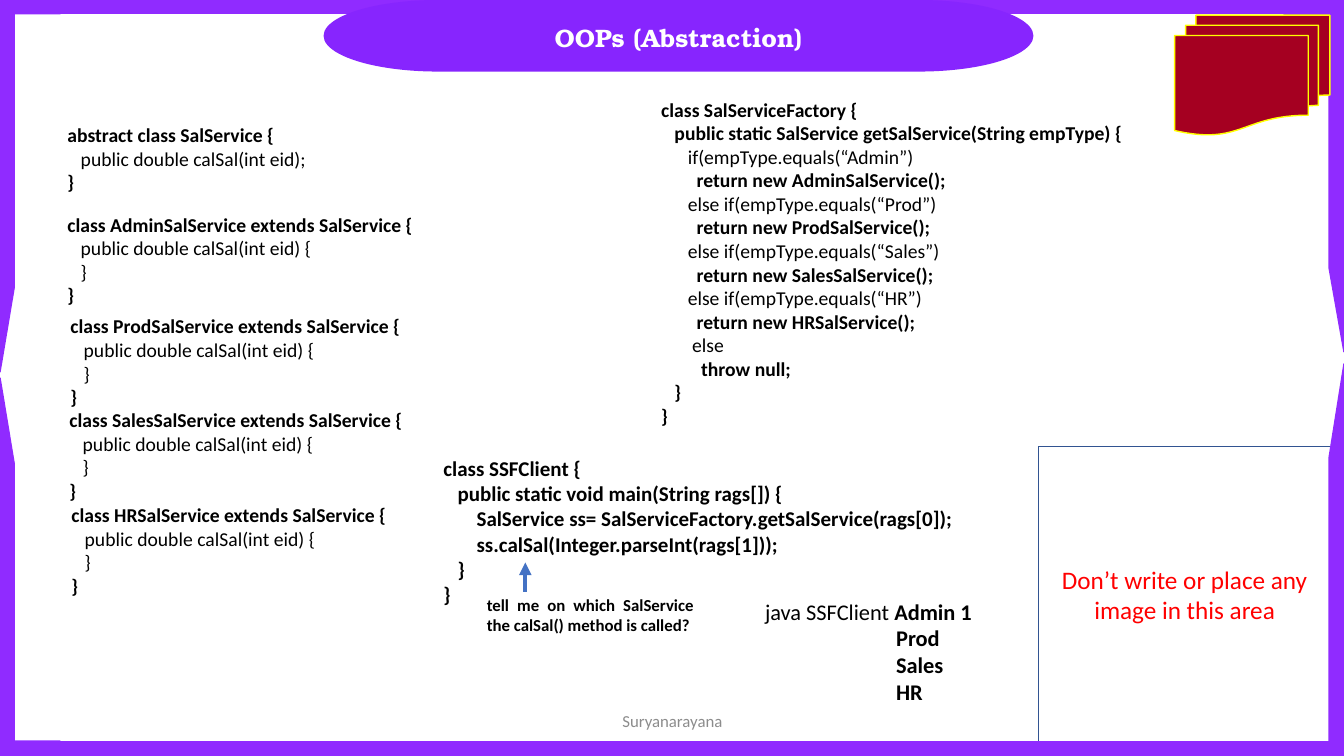
"""Build the OOPs (Abstraction) slide with its code listings."""
import pptx
import pptx.util
import pptx.dml.color
import pptx.enum.shapes
import pptx.enum.text
import pptx.oxml
import pptx.oxml.ns

Inches, Pt = pptx.util.Inches, pptx.util.Pt
SHAPE = pptx.enum.shapes.MSO_SHAPE
ALIGN = pptx.enum.text.PP_ALIGN
ANCHOR = pptx.enum.text.MSO_ANCHOR
PURPLE, BLACK = "902BFF", "000000"

TITLE = "OOPs (Abstraction)"
FOOTER = "Suryanarayana"
NOTE = "tell me on which SalService the calSal() method is called?"
RESERVED = "Don’t write or place any image in this area"
BASE = [
    ("abstract class SalService {", True),
    ("   public double calSal(int eid);", False),
    ("}", True),
]
SERVICES = [("Admin", 0.57, 2.06), ("Prod", 0.6, 3.07),
            ("Sales", 0.59, 4), ("HR", 0.61, 4.94)]
FACTORY = [
    ("class SalServiceFactory {", True),
    ("   public static SalService getSalService(String empType) {", True),
    ("      if(empType.equals(“Admin”)", False),
    ("        return new AdminSalService();", True),
    ("      else if(empType.equals(“Prod”)", False),
    ("        return new ProdSalService();", True),
    ("      else if(empType.equals(“Sales”)", False),
    ("        return new SalesSalService();", True),
    ("      else if(empType.equals(“HR”)", False),
    ("        return new HRSalService();", True),
    ("       else", False),
    ("         throw null;", True),
    ("   }", True),
    ("}", True),
]
CLIENT = [
    ("class SSFClient {", True),
    ("   public static void main(String rags[]) {", True),
    ("       SalService ss= SalServiceFactory.getSalService(rags[0]);", True),
    ("       ss.calSal(Integer.parseInt(rags[1]));", True),
    ("   }", True),
    ("}", True),
]
COMMAND = "java SSFClient "
ARGUMENTS = ["Admin 1", "Prod", "Sales", "HR"]
ARGUMENT_INDENT = 1.3
CORNERS = [
    ((0, 0, 0.62, 3.69), (0.218, 0.228), 0, False),
    ((12.71, 0, 0.62, 3.49), (0.228, 0.239), 0, True),
    ((0, 3.75, 0.62, 3.75), (0.239, 0.228), 180, True),
    ((12.71, 3.61, 0.62, 3.89), (0.228, 0.239), 180, False),
]
BARS = [(0, -0.01, 13.33, 0.14), (0, 7.36, 13.33, 0.14)]


def rgb(color):
    return pptx.dml.color.RGBColor.from_string(color)


def set_font(font, size, color=BLACK, bold=False, name="Calibri"):
    font.size, font.bold, font.name = Pt(size), bold, name
    font.color.rgb = rgb(color)


def add_shape(s, kind, at, fill, line=None):
    sp = s.shapes.add_shape(kind, *map(Inches, at))
    sp.shadow.inherit = False
    sp.fill.solid()
    sp.fill.fore_color.rgb = rgb(fill)
    if line:
        sp.line.color.rgb = rgb(line)
        sp.line.width = Pt(1)
    else:
        sp.line.fill.background()
    return sp


def add_lines(s, at, lines, size, color=BLACK, align=ALIGN.JUSTIFY):
    tf = s.shapes.add_textbox(*map(Inches, at)).text_frame
    tf.word_wrap = True
    for i, (text, bold) in enumerate(lines):
        p = tf.add_paragraph() if i else tf.paragraphs[0]
        p.text, p.alignment = text, align
        set_font(p.font, size, color, bold)
    return tf


def add_frame(s):
    for at, adjustments, rotation, flipped in CORNERS:
        sp = add_shape(s, SHAPE.HALF_FRAME, at, PURPLE, PURPLE)
        sp.adjustments[0], sp.adjustments[1] = adjustments
        sp.rotation = rotation
        if flipped:
            sp.element.spPr.xfrm.set("flipH", "1")
    for at in BARS:
        add_shape(s, SHAPE.RECTANGLE, at, PURPLE, PURPLE)


def add_title(s):
    banner = add_shape(s, SHAPE.FLOWCHART_TERMINATOR, (3.21, 0, 7.04, 0.71), "8725FE")
    title = s.shapes.title
    banner.element.addnext(title.element)
    title.left, title.top, title.width, title.height = map(Inches, (3.32, 0.17, 6.82, 0.4))
    tf = title.text_frame
    tf.text = TITLE
    tf.auto_size = pptx.enum.text.MSO_AUTO_SIZE.NONE
    tf.vertical_anchor = ANCHOR.TOP
    p = tf.paragraphs[0]
    p.alignment = ALIGN.CENTER
    set_font(p.font, 18, "FFFFFF", True, "TeX Gyre Bonum")


def add_reserved_area(s):
    sp = add_shape(s, SHAPE.RECTANGLE, (10.3, 4.43, 2.9, 2.93), "FFFFFF", "325491")
    tf = sp.text_frame
    tf.word_wrap = True
    tf.vertical_anchor = ANCHOR.MIDDLE
    p = tf.paragraphs[0]
    p.text, p.alignment = RESERVED, ALIGN.CENTER
    set_font(p.font, 18, "FF0000")


def add_arrow(s):
    ends = map(Inches, (5.21, 5.87, 5.21, 5.58))
    arrow = s.shapes.add_connector(pptx.enum.shapes.MSO_CONNECTOR.STRAIGHT, *ends)
    arrow.line.color.rgb = rgb("4472C4")
    arrow.line.width = Pt(3)
    ns = pptx.oxml.ns.nsdecls("a")
    arrow.line._get_or_add_ln().append(
        pptx.oxml.parse_xml(f'<a:tailEnd {ns} type="triangle"/>'))
    arrow.element.spPr.append(pptx.oxml.parse_xml(f"<a:effectLst {ns}/>"))


def add_command(s):
    lines = [(argument, True) for argument in ARGUMENTS]
    tf = add_lines(s, (7.49, 5.88, 2.4, 1.18), lines, 16, align=ALIGN.LEFT)
    first, *others = tf.paragraphs
    first.clear()
    for text, bold in ((COMMAND, False), (ARGUMENTS[0], True)):
        r = first.add_run()
        r.text, r.font.bold = text, bold
    for p in others:
        pPr = p._p.get_or_add_pPr()
        pPr.set("marL", str(Inches(ARGUMENT_INDENT)))
        pPr.set("indent", "0")


def main():
    prs = pptx.Presentation()
    prs.slide_width, prs.slide_height = Inches(13.33), Inches(7.5)
    s = prs.slides.add_slide(prs.slide_layouts[5])
    add_reserved_area(s)
    add_frame(s)
    add_title(s)
    add_shape(s, SHAPE.FLOWCHART_MULTIDOCUMENT, (11.65, 0.15, 1.54, 1.19), "A50021", "FFFF00")
    add_lines(s, (0.57, 1.17, 3.39, 0.81), BASE, 14)
    add_lines(s, (6.46, 0.92, 4.94, 3.4), FACTORY, 14)
    add_lines(s, (4.3, 4.47, 6.34, 1.62), CLIENT, 15)
    add_command(s)
    for name, left, top in SERVICES:
        service = [
            (f"class {name}SalService extends SalService {{", True),
            ("   public double calSal(int eid) {", False),
            ("   }", False),
            ("}", True),
        ]
        add_lines(s, (left, top, 3.73, 1.04), service, 14)
    add_lines(s, (4.73, 5.85, 2.25, 0.5), [(NOTE, True)], 12)
    add_arrow(s)
    footer = add_lines(s, (4.42, 6.95, 4.5, 0.4), [(FOOTER, False)], 12, "8C8C8C", ALIGN.CENTER)
    footer.vertical_anchor = ANCHOR.MIDDLE
    prs.save("out.pptx")


if __name__ == "__main__":
    main()
